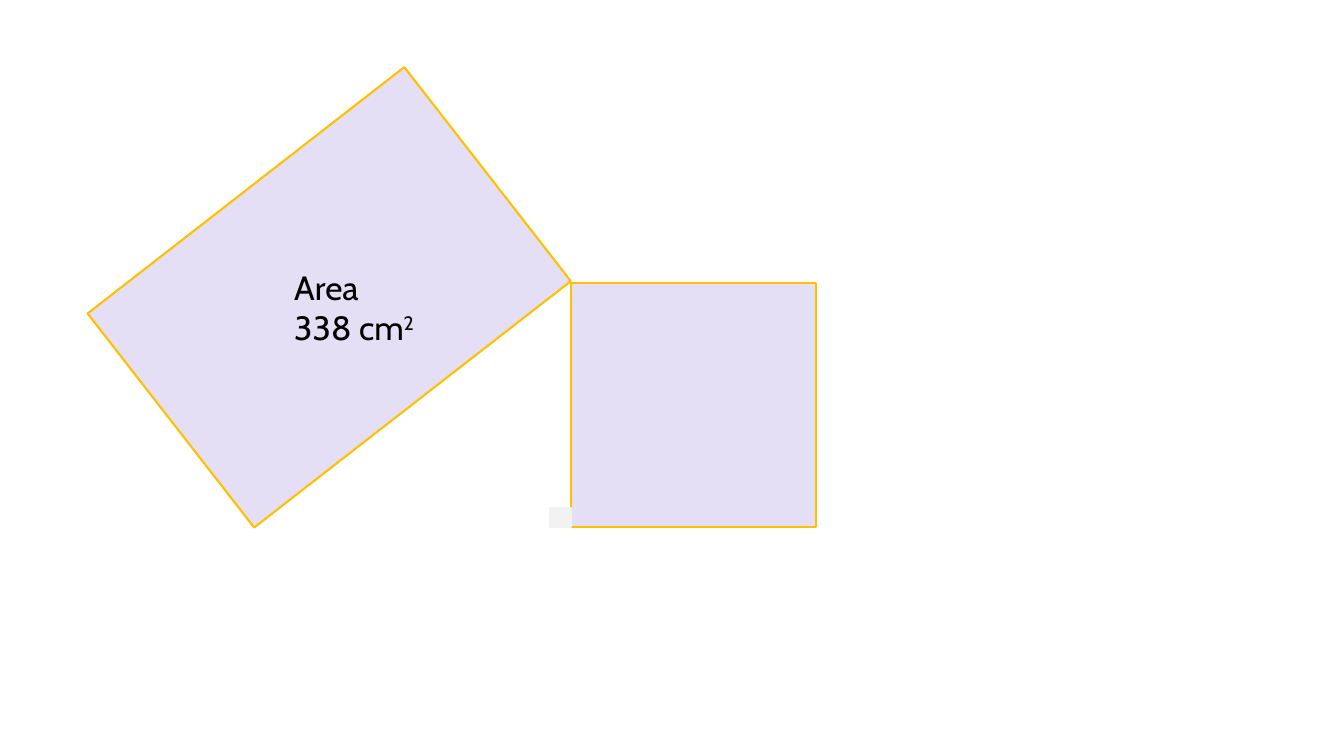
from pptx import Presentation
from pptx.dml.color import RGBColor
from pptx.enum import shapes, text
from pptx.util import Inches, Pt

LAVENDER = RGBColor(0xE4, 0xDF, 0xF5)
GOLD = RGBColor(0xFF, 0xC0, 0x00)
PALE_GREY = RGBColor(0xF2, 0xF2, 0xF2)
BLACK = RGBColor(0, 0, 0)
FONT = "Cabin"


def add_rectangle(slide, left, top, width, height, fill, line, rotation=0):
    shape = slide.shapes.add_shape(
        shapes.MSO_SHAPE.RECTANGLE,
        Inches(left), Inches(top), Inches(width), Inches(height))
    shape.rotation = rotation
    shape.shadow.inherit = False
    shape.fill.solid()
    shape.fill.fore_color.rgb = fill
    shape.line.color.rgb = line
    shape.line.width = Pt(1.5)


def add_area_label(slide, left, top, width, height):
    box = slide.shapes.add_textbox(
        Inches(left), Inches(top), Inches(width), Inches(height))
    frame = box.text_frame
    frame.word_wrap = False
    frame.auto_size = text.MSO_AUTO_SIZE.SHAPE_TO_FIT_TEXT
    frame.text = "Area\n338 cm"
    exponent = frame.paragraphs[1].add_run()
    exponent.text = "2"
    for paragraph in frame.paragraphs:
        for run in paragraph.runs:
            run.font.name = FONT
            run.font.size = Pt(24)
            run.font.color.rgb = BLACK
    exponent.font._element.set("baseline", "30000")


def add_area_diagram(slide, left, top):
    # Tilted rectangle on the hypotenuse and square on the vertical side
    add_rectangle(slide, left + 1.06, top + 0.29, 2.69, 3.98,
                  LAVENDER, GOLD, rotation=52.1)
    add_rectangle(slide, left + 4.8, top + 2.14, 2.43, 2.42, LAVENDER, GOLD)

    # Known area
    add_area_label(slide, left + 1.96, top + 1.93, 1.43, 0.91)

    # Right-angle mark
    add_rectangle(slide, left + 4.6, top + 4.37, 0.2, 0.19,
                  PALE_GREY, PALE_GREY)


def main():
    presentation = Presentation()
    presentation.slide_width = Inches(13.33)
    presentation.slide_height = Inches(7.5)
    slide = presentation.slides.add_slide(presentation.slide_layouts[6])
    add_area_diagram(slide, 0.86, 0.67)
    presentation.save("out.pptx")


if __name__ == "__main__":
    main()
